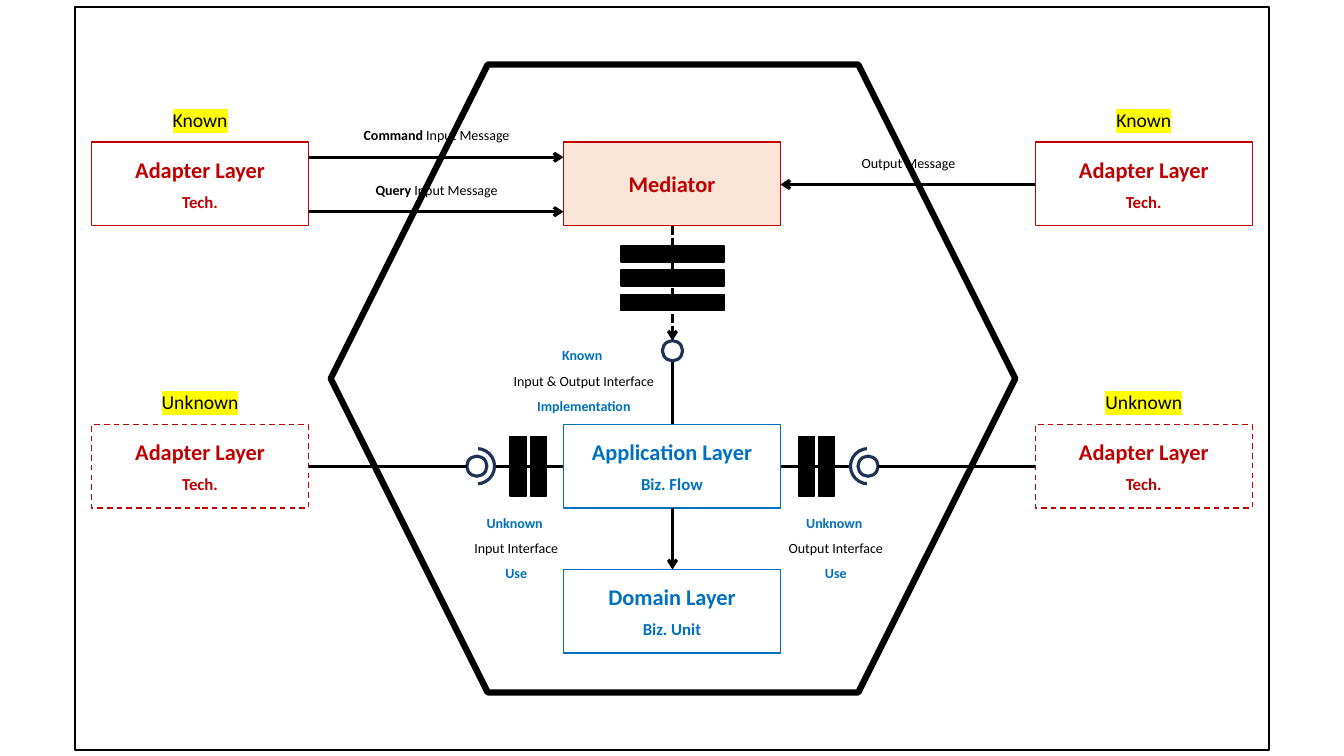
from lxml import etree
from pptx import Presentation
from pptx.dml.color import RGBColor
from pptx.enum import dml, shapes, text
from pptx.oxml import ns
from pptx.util import Inches, Pt

COLORS = {"black": "000000", "white": "FFFFFF", "red": "C00000", "blue": "0070C0",
          "navy": "1E3256", "peach": "FBE5D6", "yellow": "FFFF00"}
SHAPE = shapes.MSO_SHAPE
DASH = dml.MSO_LINE.DASH
FONT = "Calibri"
LINE_HEIGHT = {10: 0.27, 12: 0.3, 14: 0.34, 16: 0.37}
BOX_W, BOX_H = 2.15, 0.83
CENTER_X = 6.67
LEFT, MIDDLE, RIGHT = (0.91 + 4.68 * i for i in range(3))
TOP, MID, BOTTOM = 1.41, 4.21, 5.65
FLOW_Y = MID + BOX_H / 2


def rgb(name):
    return RGBColor.from_string(COLORS[name])


def sub(parent, tag, **attrs):
    return etree.SubElement(parent, ns.qn(tag), **attrs)


def add_outline(s, kind, box, line, width, fill=None, dash=None):
    sp = s.shapes.add_shape(kind, *map(Inches, box))
    sp.shadow.inherit = False
    if fill:
        sp.fill.solid()
        sp.fill.fore_color.rgb = rgb(fill)
    else:
        sp.fill.background()
    sp.line.color.rgb = rgb(line)
    sp.line.width = Pt(width)
    if dash:
        sp.line.dash_style = dash
    return sp


def add_circle(s, cx, cy, size, fill=None):
    box = (cx - size / 2, cy - size / 2, size, size)
    add_outline(s, SHAPE.OVAL, box, "navy", 2.25, fill)


def add_bar(s, cx, cy, w, h):
    box = (cx - w / 2, cy - h / 2, w, h)
    add_outline(s, SHAPE.RECTANGLE, box, "black", 1, "black")


def add_line(s, start, end, arrow=False, dash=None):
    c = s.shapes.add_connector(shapes.MSO_CONNECTOR.STRAIGHT, *map(Inches, start + end))
    c.line.color.rgb = rgb("black")
    c.line.width = Pt(2.25)
    if dash:
        c.line.dash_style = dash
    if arrow:
        sub(c.line._get_or_add_ln(), "a:tailEnd", type="arrow")
    sub(c._element.spPr, "a:effectLst")


def add_label(s, cx, top, width, size, paragraphs, spacing=None, highlight=None):
    """Centre paragraphs of (text, colour, bold) runs on cx."""
    height = 0.86 if len(paragraphs) > 1 else LINE_HEIGHT[size]
    box = (cx - width / 2, top, width, height)
    tf = s.shapes.add_textbox(*map(Inches, box)).text_frame
    tf.word_wrap = False
    tf.auto_size = text.MSO_AUTO_SIZE.SHAPE_TO_FIT_TEXT
    for i, runs in enumerate(paragraphs):
        p = tf.add_paragraph() if i else tf.paragraphs[0]
        p.alignment = text.PP_ALIGN.CENTER
        if spacing:
            p.line_spacing = spacing
        for words, color, bold in runs:
            r = p.add_run()
            r.text = words
            r.font.size = Pt(size)
            r.font.bold = bold
            r.font.color.rgb = rgb(color)
            if highlight:
                mark = sub(r._r.get_or_add_rPr(), "a:highlight")
                sub(mark, "a:srgbClr", val=COLORS[highlight])
            r.font.name = FONT


def add_layer(s, left, top, title, subtitle, color, fill=None, dash=None):
    """Draw a layer box; title and subtitle are (text, width) pairs."""
    add_outline(s, SHAPE.RECTANGLE, (left, top, BOX_W, BOX_H), color, 1, fill, dash)
    cx = left + BOX_W / 2
    lines = [(title, 16, 0.09 if subtitle else 0.23)]
    if subtitle:
        lines.append((subtitle, 12, 0.44))
    for (words, width), size, offset in lines:
        add_label(s, cx, top + offset, width, size, [[(words, color, True)]])


def add_adapters(s, left):
    """Draw the known adapter above the unknown one."""
    for top, tag, width, fill, dash in ((TOP, "Known", 0.75, None, None),
                                        (MID, "Unknown", 0.97, "white", DASH)):
        add_label(s, left + BOX_W / 2, top - 0.39, width, 14,
                  [[(tag, "black", False)]], highlight="yellow")
        add_layer(s, left, top, ("Adapter Layer", 1.51), ("Tech.", 0.56),
                  "red", fill, dash)


def add_interface_note(s, cx, top, width, heading, name, role):
    add_label(s, cx, top, width, 10, [[(heading, "blue", True)], [(name, "black", False)],
                                      [(role, "blue", True)]], spacing=1.5)


def add_messages(s):
    messages = ((1.56, LEFT + BOX_W, MIDDLE, 4.33, 1.67, "Command", " Input Message"),
                (2.1, LEFT + BOX_W, MIDDLE, 4.33, 1.43, "Query ", "Input Message"),
                (1.83, RIGHT, MIDDLE + BOX_W, 9.01, 1.14, "", "Output Message"))
    for y, start, end, cx, width, strong, plain in messages:
        add_line(s, (start, y), (end, y), arrow=True)
        runs = [(strong, "black", True)] if strong else []
        add_label(s, cx, y - 0.35, width, 10, [runs + [(plain, "black", False)]])


def add_port(s, side, adapter_edge):
    """Join the application layer to an unknown adapter; side is -1 left, 1 right."""
    socket_x = CENTER_X + side * 1.94
    add_line(s, (CENTER_X + side * BOX_W / 2, FLOW_Y), (socket_x - side * 0.18, FLOW_Y))
    add_circle(s, socket_x, FLOW_Y, 0.35)
    cover = (min(socket_x, socket_x + side * 0.4), FLOW_Y - 0.32, 0.4, 0.63)
    add_outline(s, SHAPE.RECTANGLE, cover, "white", 1, "white")
    add_circle(s, socket_x, FLOW_Y, 0.2)
    add_line(s, (adapter_edge, FLOW_Y), (socket_x + side * 0.1, FLOW_Y))
    for offset in (1.33, 1.53):
        add_bar(s, CENTER_X + side * offset, FLOW_Y, 0.16, 0.59)


def add_core(s):
    """Draw the mediator, its pipeline, the application and the domain."""
    add_line(s, (CENTER_X, MID), (CENTER_X, 3.58))
    add_circle(s, CENTER_X, 3.48, 0.2, "white")
    add_layer(s, MIDDLE, TOP, ("Mediator", 1.07), None, "red", "peach")
    add_line(s, (CENTER_X, TOP + BOX_H), (CENTER_X, 3.38), True,
             dml.MSO_LINE.SQUARE_DOT)
    for i in range(3):
        add_bar(s, CENTER_X, 2.52 + 0.24 * i, 1.02, 0.16)
    add_layer(s, MIDDLE, MID, ("Application Layer", 1.81), ("Biz. Flow", 0.83),
              "blue", "white")
    add_line(s, (CENTER_X, MID + BOX_H), (CENTER_X, BOTTOM), arrow=True)
    add_layer(s, MIDDLE, BOTTOM, ("Domain Layer", 1.48), ("Biz. Unit", 0.79),
              "blue", "white")


def main():
    prs = Presentation()
    prs.slide_width, prs.slide_height = Inches(13.33), Inches(7.5)
    s = prs.slides.add_slide(prs.slide_layouts[6])
    add_messages(s)
    for left in (LEFT, RIGHT):
        add_adapters(s, left)
    add_port(s, -1, LEFT + BOX_W)
    add_port(s, 1, RIGHT)
    add_core(s)
    add_interface_note(s, 5.79, 3.31, 1.62, "Known ", "Input & Output Interface",
                       "Implementation")
    add_interface_note(s, 5.12, 4.97, 1.05, "Unknown ", "Input Interface", "Use")
    add_interface_note(s, 8.29, 4.97, 1.16, "Unknown ", "Output Interface", "Use")
    add_outline(s, SHAPE.HEXAGON, (3.28, 0.64, 6.79, 6.23), "black", 4.5)
    add_outline(s, SHAPE.RECTANGLE, (0.74, 0.07, 11.85, 7.37), "black", 1.5)
    prs.save("out.pptx")


if __name__ == "__main__":
    main()
